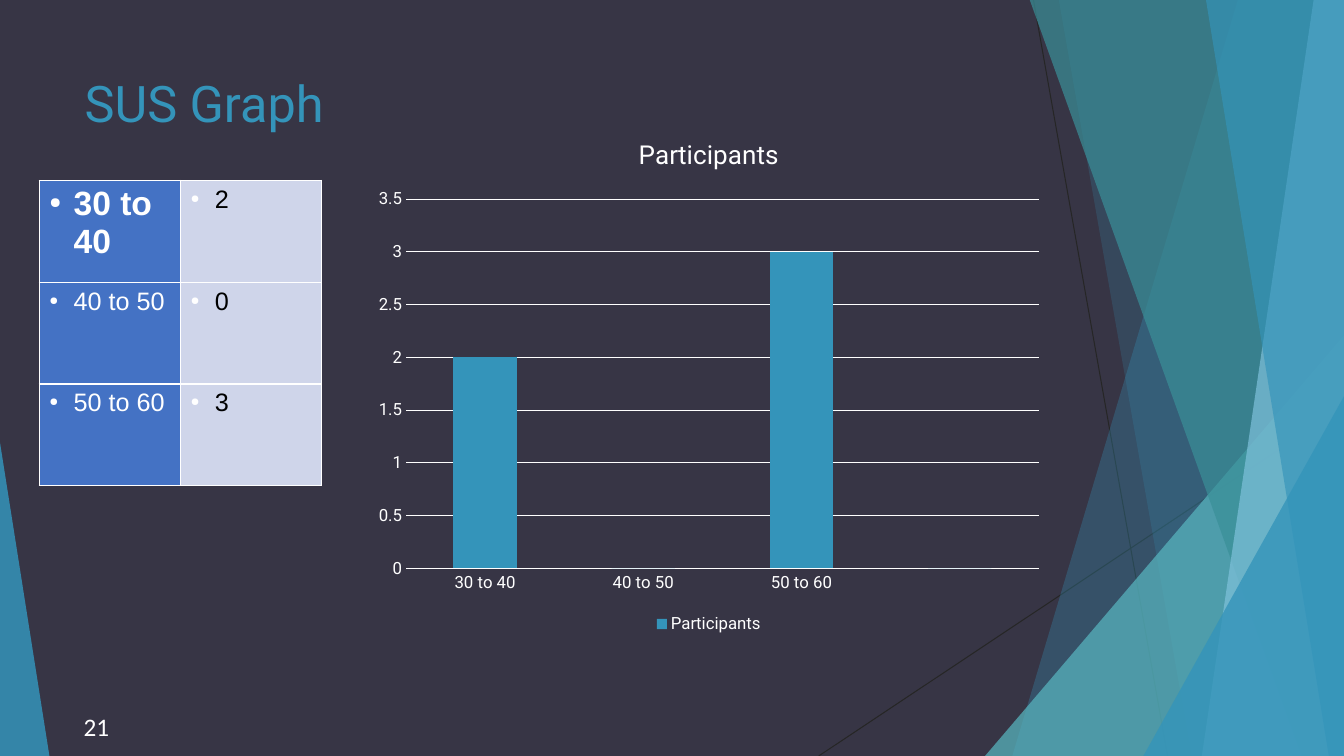
from dataclasses import dataclass

from lxml import etree
from pptx import Presentation
from pptx.chart.data import CategoryChartData
from pptx.dml.color import RGBColor
from pptx.enum.chart import XL_CHART_TYPE, XL_LEGEND_POSITION, XL_TICK_MARK
from pptx.enum.shapes import MSO_CONNECTOR
from pptx.enum.text import MSO_ANCHOR, PP_ALIGN
from pptx.oxml.ns import qn
from pptx.util import Inches, Pt

COLUMNS = XL_CHART_TYPE.COLUMN_CLUSTERED
BOTTOM = XL_LEGEND_POSITION.BOTTOM
NO_TICK = XL_TICK_MARK.NONE
STRAIGHT = MSO_CONNECTOR.STRAIGHT
TOP = MSO_ANCHOR.TOP
LEFT = PP_ALIGN.LEFT

WIDTH, HEIGHT, EDGE = 13.33, 7.5, -0.01
ACCENT, WHITE = "3494BA", "FFFFFF"
SERIES_NAME = "Participants"
SCORES = {"30 to 40": 2, "40 to 50": 0, "50 to 60": 3}


@dataclass
class Facet:
    corners: list[tuple[float, float]]
    color: str
    opacity: int


@dataclass
class Ray:
    start: tuple[float, float]
    end: tuple[float, float]


def beam(top_left: float, bottom_left: float) -> list[tuple[float, float]]:
    return [(top_left, EDGE), (WIDTH, EDGE), (WIDTH, HEIGHT), (bottom_left, HEIGHT)]


def wedge(bottom_left: float, right_top: float) -> list[tuple[float, float]]:
    return [(bottom_left, HEIGHT), (WIDTH, right_top), (WIDTH, HEIGHT)]


RAYS = [Ray((10.25, 0), (11.58, HEIGHT)), Ray((WIDTH, 4.03), (8.12, HEIGHT))]
FACETS = [
    Facet(beam(12.28, 10.04), ACCENT, 30),
    Facet(beam(10.5, 11.82), ACCENT, 20),
    Facet(wedge(9.77, 3.33), "58B6C0", 72),
    Facet(beam(10.21, 12.91), "3A8F98", 70),
    Facet(beam(13.03, 11.92), "7FC1DB", 70),
    Facet(beam(11.96, 13.18), ACCENT, 65),
    Facet(wedge(11.34, 3.93), ACCENT, 80),
    Facet([(0, HEIGHT), (0, 4.39), (0.49, HEIGHT)], ACCENT, 85),
]


def rgb(color: str) -> RGBColor:
    return RGBColor.from_string(color)


def paint(fill, color: str) -> None:
    fill.solid()
    fill.fore_color.rgb = rgb(color)


def apply(target, values: dict) -> None:
    for name, value in values.items():
        setattr(target, name, value)


def style(font, color: str, size: float, name: str, bold: bool = False) -> None:
    apply(font, {"size": Pt(size), "name": name, "bold": bold})
    font.color.rgb = rgb(color)


def draw_ray(slide, ray: Ray) -> None:
    ends = [Inches(value) for value in ray.start + ray.end]
    line = slide.shapes.add_connector(STRAIGHT, *ends)
    line.line.width = Pt(0.75)
    line.line.color.rgb = rgb("262626")
    etree.SubElement(line.element.spPr, qn("a:effectLst"))


def draw_facet(slide, facet: Facet) -> None:
    first, *rest = [(Inches(x), Inches(y)) for x, y in facet.corners]
    builder = slide.shapes.build_freeform(*first)
    builder.add_line_segments(rest, close=True)
    shape = builder.convert_to_shape()
    shape.shadow.inherit = False
    paint(shape.fill, facet.color)
    shape.line.fill.background()
    tint = next(shape.element.spPr.iter(qn("a:srgbClr")))
    etree.SubElement(tint, qn("a:alpha"), val=str(facet.opacity * 1000))


def add_bullet(paragraph) -> None:
    properties = paragraph._p.get_or_add_pPr()
    properties.set("marL", str(Inches(0.24)))
    properties.set("indent", str(-Inches(0.24)))
    bullet_color = etree.SubElement(properties, qn("a:buClr"))
    etree.SubElement(bullet_color, qn("a:srgbClr"), val=WHITE)
    etree.SubElement(properties, qn("a:buSzPct"), val="45000")
    etree.SubElement(properties, qn("a:buChar"), char="●")


def draw_title(slide) -> None:
    title = slide.shapes.title
    apply(title, {"left": Inches(0.74), "top": Inches(0.67),
                  "width": Inches(9.4), "height": Inches(1.44)})
    title.text_frame.vertical_anchor = TOP
    heading = title.text_frame.paragraphs[0]
    heading.alignment = LEFT
    run = heading.add_run()
    run.text = "SUS Graph"
    style(run.font, ACCENT, 36, "Roboto")
    title.element.getparent().append(title.element)


def draw_chart(slide) -> None:
    data = CategoryChartData()
    data.categories = [*SCORES, ""]
    data.add_series(SERIES_NAME, [*SCORES.values(), 0])
    box = [Inches(value) for value in (3.62, 1.16, 6.82, 5.17)]
    chart = slide.shapes.add_chart(COLUMNS, *box, data).chart
    style(chart.font, WHITE, 12, "Roboto")
    apply(chart, {"has_title": True, "has_legend": True})
    heading = chart.chart_title.text_frame.paragraphs[0].add_run()
    heading.text = SERIES_NAME
    style(heading.font, WHITE, 18.6, "Roboto")
    apply(chart.legend, {"position": BOTTOM, "include_in_layout": False})
    style(chart.legend.font, WHITE, 12, "Roboto")

    for axis in (chart.category_axis, chart.value_axis):
        apply(axis, {"major_tick_mark": NO_TICK, "minor_tick_mark": NO_TICK})
        style(axis.tick_labels.font, WHITE, 12, "Roboto")
        axis.format.line.fill.background()
    apply(chart.value_axis, {"minimum_scale": 0, "maximum_scale": 3.5,
                             "major_unit": 0.5, "has_major_gridlines": True})
    gridline = chart.value_axis.major_gridlines.format.line
    gridline.width = Pt(0.75)
    gridline.color.rgb = rgb(WHITE)

    plot = chart.plots[0]
    apply(plot, {"gap_width": 150, "vary_by_categories": False})
    paint(plot.series[0].format.fill, ACCENT)


def draw_table(slide) -> None:
    row_height = 1.01
    box = [Inches(v) for v in (0.39, 1.79, 2.8, row_height * len(SCORES))]
    table = slide.shapes.add_table(len(SCORES), 2, *box).table
    for row_index, score in enumerate(SCORES.items()):
        table.rows[row_index].height = Inches(row_height)
        for column_index, text in enumerate(score):
            is_range = column_index == 0
            is_lead = is_range and row_index == 0
            cell = table.cell(row_index, column_index)
            paint(cell.fill, "4472C4" if is_range else "CFD5EA")
            paragraph = cell.text_frame.paragraphs[0]
            add_bullet(paragraph)
            run = paragraph.add_run()
            run.text = str(text)
            style(run.font, WHITE if is_range else "000000",
                  24 if is_lead else 18, "Arial", is_lead)


def draw_page_number(slide) -> None:
    box = [Inches(value) for value in (0.73, 7.01, 0.48, 0.4)]
    frame = slide.shapes.add_textbox(*box).text_frame
    frame.word_wrap = True
    run = frame.paragraphs[0].add_run()
    run.text = "21"
    style(run.font, WHITE, 18, "Calibri")


def main() -> None:
    deck = Presentation()
    apply(deck, {"slide_width": Inches(WIDTH), "slide_height": Inches(HEIGHT)})
    slide = deck.slides.add_slide(deck.slide_layouts.get_by_name("Title Only"))
    paint(slide.background.fill, "373545")
    for ray in RAYS:
        draw_ray(slide, ray)
    for facet in FACETS:
        draw_facet(slide, facet)
    draw_title(slide)
    draw_chart(slide)
    draw_table(slide)
    draw_page_number(slide)
    deck.save("out.pptx")


if __name__ == "__main__":
    main()
